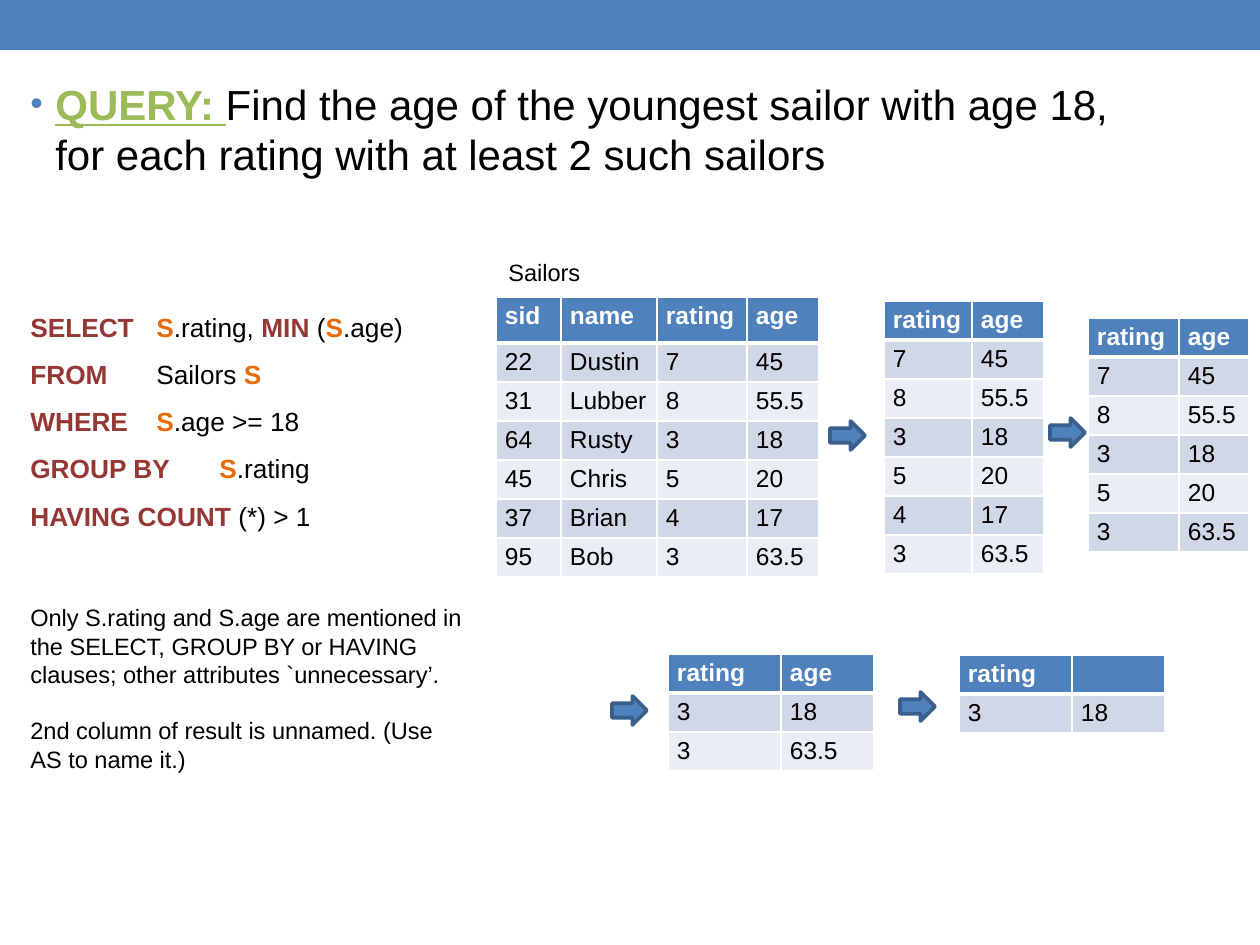
from lxml import etree
from pptx import Presentation
from pptx.dml.color import RGBColor
from pptx.enum.shapes import MSO_SHAPE
from pptx.oxml.ns import qn
from pptx.util import Emu, Pt

RECTANGLE = MSO_SHAPE.RECTANGLE
RIGHT_ARROW = MSO_SHAPE.RIGHT_ARROW
SCALE = 914400 / 126  # EMU per px
FONT = "Arial"
COLORS = {
    "blue": "4F81BD", "outline": "3A5F8C", "green": "9BBB59", "keyword": "953735",
    "alias": "E46C0A", "black": "000000", "white": "FFFFFF",
    "band": "D0D8E8", "light": "E9EDF4",
}


def px(length):
    return Emu(round(length * SCALE))


def add_run(paragraph, text, size, color="black", bold=False):
    run = paragraph.add_run()
    run.text = text
    run.font.name, run.font.size, run.font.bold = FONT, Pt(size), bold
    run.font.color.rgb = RGBColor.from_string(COLORS[color])
    return run


presentation = Presentation()
presentation.slide_width, presentation.slide_height = px(1260), px(945)
slide = presentation.slides.add_slide(presentation.slide_layouts[6])

# Top band and step arrows
shapes = [
    (RECTANGLE, 0, 0, 1260, 50),
    (RIGHT_ARROW, 830, 421, 35, 29),
    (RIGHT_ARROW, 612, 696, 35, 29),
    (RIGHT_ARROW, 1050, 418, 35, 29),
    (RIGHT_ARROW, 900, 692, 35, 29),
]
for kind, left, top, width, height in shapes:
    shape = slide.shapes.add_shape(kind, px(left), px(top), px(width), px(height))
    shape.shadow.inherit = False
    shape.fill.solid()
    shape.fill.fore_color.rgb = RGBColor.from_string(COLORS["blue"])
    if kind == RIGHT_ARROW:
        shape.line.color.rgb = RGBColor.from_string(COLORS["outline"])
        shape.line.width = Pt(2.08)
    else:
        shape.line.fill.background()

# Text frames
frames = {}
for name, left, top, width, height in [
    ("question", 18, 72, 1134, 504),
    ("sql", 18, 289, 630, 251),
    ("remarks", 18, 597, 459, 184),
    ("caption", 496, 252, 117, 42),
]:
    box = slide.shapes.add_textbox(px(left), px(top), px(width), px(height))
    frames[name] = box.text_frame
    frames[name].word_wrap = True

# Question with a coloured bullet
paragraph = frames["question"].paragraphs[0]
add_run(paragraph, "QUERY: ", 24, "green", True).font.underline = True
add_run(paragraph, "Find the age of the youngest sailor with age 18, "
        "for each rating with at least 2 such sailors", 24)
properties = paragraph._p.get_or_add_pPr()
properties.set("marL", str(px(25)))
properties.set("indent", str(-px(25)))
bullet_color = etree.SubElement(properties, qn("a:buClr"))
etree.SubElement(bullet_color, qn("a:srgbClr"), val=COLORS["blue"])
etree.SubElement(properties, qn("a:buSzPct"), val="85000")
etree.SubElement(properties, qn("a:buFont"), typeface=FONT)
etree.SubElement(properties, qn("a:buChar"), char="•")

# SQL statement: keywords and table aliases stand out in bold
sql_lines = [
    [("SELECT \t", "keyword"), ("S", "alias"), (".rating, ", "black"),
     ("MIN", "keyword"), (" (", "black"), ("S", "alias"), (".age)", "black")],
    [("FROM\t", "keyword"), ("Sailors ", "black"), ("S", "alias")],
    [("WHERE \t", "keyword"), ("S", "alias"), (".age >= 18", "black")],
    [("GROUP BY \t", "keyword"), ("S", "alias"), (".rating", "black")],
    [("HAVING COUNT ", "keyword"), ("(*) > 1", "black")],
]
for index, line in enumerate(sql_lines):
    paragraph = frames["sql"].add_paragraph() if index else frames["sql"].paragraphs[0]
    paragraph.line_spacing = 1.5
    for text, color in line:
        add_run(paragraph, text, 15, color, color != "black")

# Remarks and table caption
add_run(frames["remarks"].paragraphs[0],
        "Only S.rating and S.age are mentioned in the SELECT, GROUP BY or HAVING "
        "clauses; other attributes `unnecessary’.", 13.5)
paragraph = frames["remarks"].add_paragraph()
paragraph.space_before = Pt(16)
add_run(paragraph, "2nd column of result is unnamed. (Use AS to name it.)", 13.5)
add_run(frames["caption"].paragraphs[0], "Sailors", 13.5)

# Tables: the data, then each step of the evaluation
sailors = [
    ("sid", "name", "rating", "age"),
    ("22", "Dustin", "7", "45"),
    ("31", "Lubber", "8", "55.5"),
    ("64", "Rusty", "3", "18"),
    ("45", "Chris", "5", "20"),
    ("37", "Brian", "4", "17"),
    ("95", "Bob", "3", "63.5"),
]
projected = [row[2:] for row in sailors]
adults = [row for row in projected if row[1] != "17"]
group = [row for row in projected if row[0] in ("rating", "3")]
result = [("rating", ""), ("3", "18")]
tables = [
    (496, 297, (65, 96, 90, 72), 46, sailors),
    (884, 301, (88, 72), 39, projected),
    (668, 654, (113, 93), 39, group),
    (959, 655, (113, 93), 39, result),
    (1088, 318, (91, 70), 39, adults),
]
for left, top, widths, header_height, rows in tables:
    height = header_height + 39 * (len(rows) - 1)
    table = slide.shapes.add_table(len(rows), len(widths), px(left), px(top),
                                   px(sum(widths)), px(height)).table
    for column, width in zip(table.columns, widths):
        column.width = px(width)
    for row_index, row in enumerate(rows):
        header = row_index == 0
        table.rows[row_index].height = px(header_height if header else 39)
        fill = "blue" if header else "band" if row_index % 2 else "light"
        for column_index, text in enumerate(row):
            cell = table.cell(row_index, column_index)
            cell.margin_left = cell.margin_right = px(9)
            cell.margin_top, cell.margin_bottom = px(5), px(4)
            cell.fill.solid()
            cell.fill.fore_color.rgb = RGBColor.from_string(COLORS[fill])
            paragraph = cell.text_frame.paragraphs[0]
            if text:
                add_run(paragraph, text, 14, "white" if header else "black", header)
            else:
                etree.SubElement(paragraph._p, qn("a:endParaRPr"), sz="1400")
            # White borders, thick below the header
            cell_properties = cell._tc.get_or_add_tcPr()
            for position, side in enumerate(("lnL", "lnR", "lnT", "lnB")):
                thick = (row_index, side) in ((0, "lnB"), (1, "lnT"))
                border = etree.Element(qn("a:" + side), w=str(Pt(3 if thick else 1)))
                solid = etree.SubElement(border, qn("a:solidFill"))
                etree.SubElement(solid, qn("a:srgbClr"), val=COLORS["white"])
                cell_properties.insert(position, border)

presentation.save("out.pptx")
